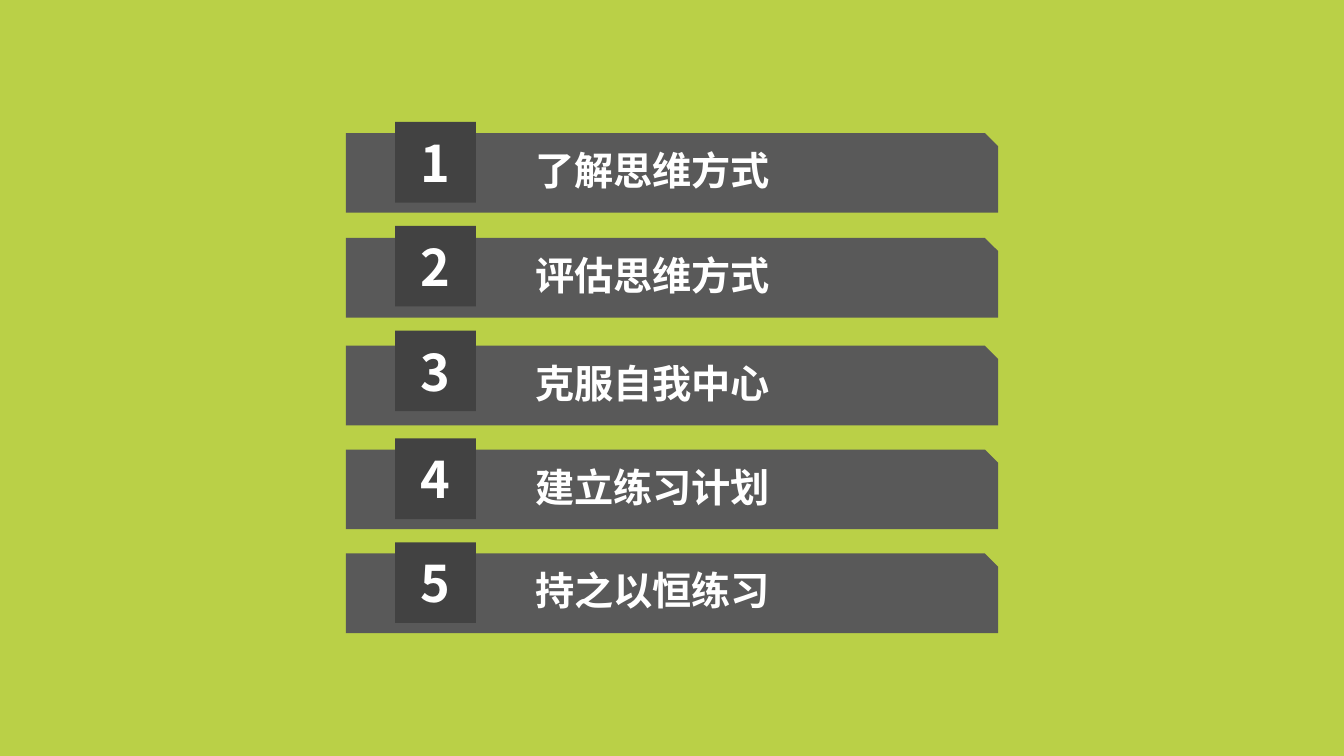
from dataclasses import dataclass

import lxml.etree
import pptx
import pptx.dml.color
import pptx.enum.shapes
import pptx.enum.text
import pptx.oxml.ns
import pptx.shapes.autoshape
import pptx.shapes.group
import pptx.util

Inches = pptx.util.Inches
SHAPE = pptx.enum.shapes.MSO_SHAPE
ALIGN = pptx.enum.text.PP_ALIGN
FONT = "Noto Sans CJK SC"
COLORS = {"background": "BAD047", "bar": "595959", "badge": "424242", "text": "FFFFFF"}


@dataclass(frozen=True)
class Step:
    title: str
    bar_top: float
    badge_top: float


STEPS = [
    Step("了解思维方式", 1.32, 1.21),
    Step("评估思维方式", 2.36, 2.24),
    Step("克服自我中心", 3.43, 3.28),
    Step("建立练习计划", 4.46, 4.35),
    Step("持之以恒练习", 5.49, 5.38),
]


def rgb(role: str) -> pptx.dml.color.RGBColor:
    return pptx.dml.color.RGBColor.from_string(COLORS[role])


def add_block(
    group: pptx.shapes.group.GroupShape,
    preset: pptx.enum.shapes.MSO_SHAPE,
    left: float, top: float, width: float, height: float,
    role: str,
) -> pptx.shapes.autoshape.Shape:
    block = group.shapes.add_shape(
        preset, Inches(left), Inches(top), Inches(width), Inches(height))
    block.shadow.inherit = False
    block.fill.solid()
    block.fill.fore_color.rgb = rgb(role)
    block.line.fill.background()
    return block


def write(
    holder: pptx.shapes.autoshape.Shape, text: str, size: int, align: ALIGN
) -> None:
    frame = holder.text_frame
    frame.word_wrap = True
    frame.auto_size = pptx.enum.text.MSO_AUTO_SIZE.SHAPE_TO_FIT_TEXT
    frame.vertical_anchor = pptx.enum.text.MSO_ANCHOR.MIDDLE
    paragraph = frame.paragraphs[0]
    paragraph.text = text
    paragraph.alignment = align
    font = paragraph.font
    font.size = pptx.util.Pt(size)
    font.bold = True
    font.color.rgb = rgb("text")
    font.name = FONT
    properties = paragraph._p.pPr.find(pptx.oxml.ns.qn("a:defRPr"))
    lxml.etree.SubElement(properties, pptx.oxml.ns.qn("a:ea"), typeface=FONT)


def add_step(slide: pptx.slide.Slide, number: int, step: Step) -> None:
    group = slide.shapes.add_group_shape()
    add_block(group, SHAPE.SNIP_1_RECTANGLE, 3.43, step.bar_top, 6.47, 0.79, "bar")
    title = group.shapes.add_textbox(
        Inches(5.21), Inches(step.bar_top + 0.08), Inches(2.92), Inches(0.57))
    write(title, step.title, 28, ALIGN.LEFT)
    add_block(group, SHAPE.RECTANGLE, 3.92, step.badge_top, 0.8, 0.8, "badge")
    label = add_block(
        group, SHAPE.RECTANGLE, 3.92, step.badge_top + 0.05, 0.8, 0.7, "badge")
    write(label, str(number), 36, ALIGN.CENTER)


def main() -> None:
    deck = pptx.Presentation()
    deck.slide_width, deck.slide_height = Inches(13.33), Inches(7.5)
    slide = deck.slides.add_slide(deck.slide_layouts[6])
    slide.background.fill.solid()
    slide.background.fill.fore_color.rgb = rgb("background")
    for number, step in enumerate(STEPS, start=1):
        add_step(slide, number, step)
    deck.save("out.pptx")


if __name__ == "__main__":
    main()
